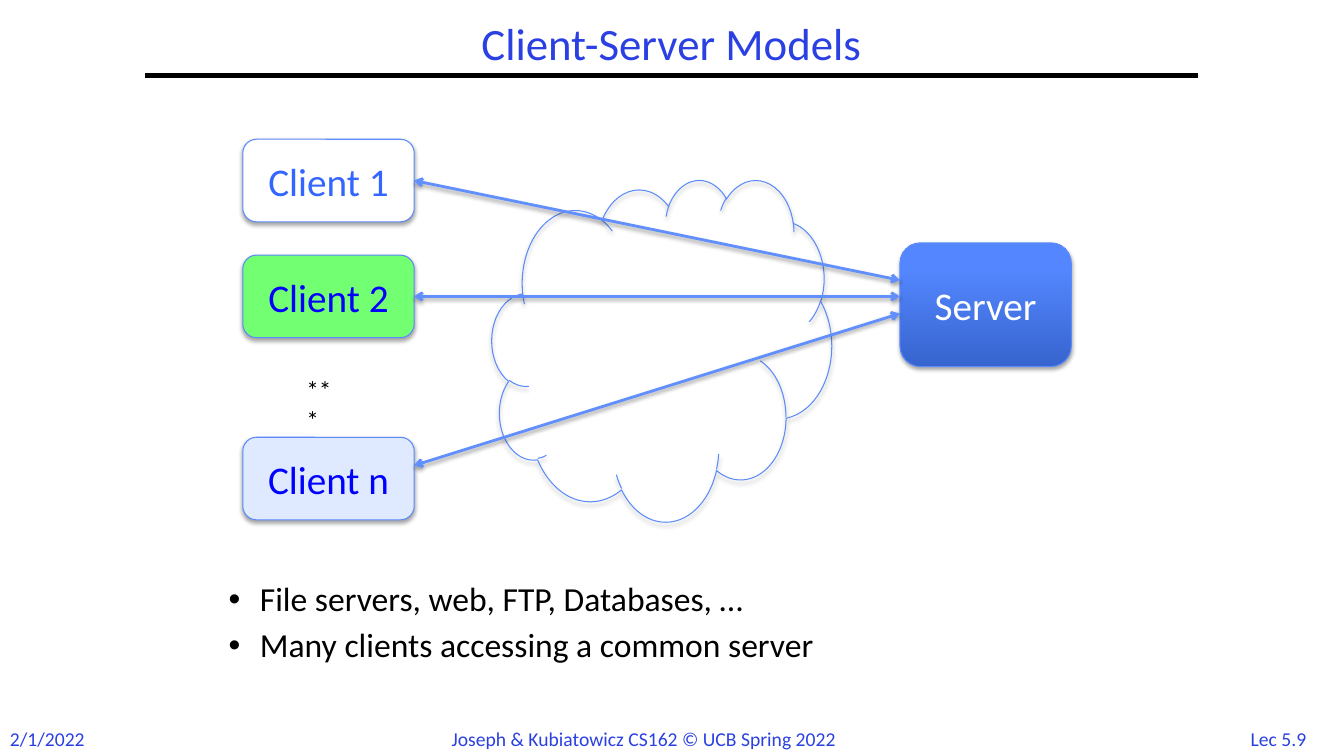
from pptx import Presentation, util as u
from pptx.dml.color import RGBColor
from pptx.enum import shapes, text
from pptx.oxml import parse_xml
from pptx.oxml.ns import nsdecls

Cm, Pt = u.Cm, u.Pt
HUES = {"title": "2A40E2", "edge": "5B8AFB", "link": "618FFD", "ink": "000000",
        "white": "FFFFFF", "sky": "3366FF", "blue": "0000FF", "green": "72FF72",
        "pale": "DFE9FF", "deep": "3764CE", "mid": "5487FF", "top": "5688FF"}
NS = nsdecls("a")


def write(par, words, size, hue, **form):
    """Add a Calibri run to the paragraph and set paragraph attributes."""
    run = par.add_run()
    run.text = words
    for key, val in {"name": "Calibri", "size": Pt(size)}.items():
        setattr(run.font, key, val)
    run.font.color.rgb = RGBColor.from_string(HUES[hue])
    for key, val in form.items():
        setattr(par, key, val)


def style(item, hue, width, shade=0, dist=0):
    """Set the outline and a downward shadow of the given opacity in percent."""
    item.line.color.rgb = RGBColor.from_string(HUES[hue])
    item.line.width = Pt(width)
    glow = (f'<a:outerShdw blurRad="{Pt(3.1)}" dist="{Pt(dist)}" dir="5400000" rotWithShape="0">'
            f'<a:srgbClr val="{HUES["ink"]}"><a:alpha val="{shade * 1000}"/></a:srgbClr>'
            '</a:outerShdw>') if shade else ""
    item._element.spPr.append(parse_xml(f'<a:effectLst {NS}>{glow}</a:effectLst>'))


deck = Presentation()
deck.slide_width, deck.slide_height = Cm(33.87), Cm(19.05)
slide = deck.slides.add_slide(deck.slide_layouts[5])
parts = slide.shapes
center = text.PP_ALIGN.CENTER

# Footer and title rule
for words, left, width, align in [
        ("Lec 5.9", 30.99, 2.46, center),
        ("2/1/2022", 0, 2.44, text.PP_ALIGN.LEFT),
        ("Joseph & Kubiatowicz CS162 © UCB Spring 2022", 11.13, 11.56, text.PP_ALIGN.LEFT)]:
    box = parts.add_textbox(Cm(left), Cm(18.19), Cm(width), Cm(0.86))
    box.text_frame.word_wrap = False
    write(box.text_frame.paragraphs[0], words, 14, "title", alignment=align)
rule = parts.add_connector(shapes.MSO_CONNECTOR.STRAIGHT, Cm(3.66), Cm(1.9), Cm(30.2), Cm(1.9))
style(rule, "ink", 3)

# Title
title = parts.title
for key, val in {"left": 3.66, "top": 0.43, "width": 26.52, "height": 1.47}.items():
    setattr(title, key, Cm(val))
title.text_frame.vertical_anchor = text.MSO_ANCHOR.MIDDLE
write(title.text_frame.paragraphs[0], "Client-Server Models", 32, "title",
      alignment=center, line_spacing=0.9)

# Bullets
body = parts.add_textbox(Cm(5.51), Cm(14.55), Cm(22.86), Cm(2.95)).text_frame
body.word_wrap = True
for num, words in enumerate(["File servers, web, FTP, Databases, …",
                             "Many clients accessing a common server"]):
    par = body.add_paragraph() if num else body.paragraphs[0]
    props = par._p.get_or_add_pPr()
    props.set("marL", str(Cm(0.79)))
    props.set("indent", str(-Cm(0.79)))
    props.append(parse_xml(f'<a:buFont {NS} typeface="Arial"/>'))
    props.append(parse_xml(f'<a:buChar {NS} char="•"/>'))
    write(par, words, 24, "ink", line_spacing=0.9, space_before=Pt(7.2 * num))

# Network cloud
cloud = parts.add_shape(shapes.MSO_SHAPE.CLOUD, Cm(12.4), Cm(4.52), Cm(8.56), Cm(8.61))
cloud.fill.background()
style(cloud, "edge", 0.75, 35, 1.8)

# Server and clients
stops = "".join(f'<a:gs pos="{pos * 1000}"><a:srgbClr val="{HUES[hue]}"/></a:gs>'
                for pos, hue in [(0, "deep"), (80, "mid"), (100, "top")])
for words, left, top, high, fill, hue in [
        ("Server", 22.68, 6.12, 3.12, None, "white"),
        ("Client 1", 6.12, 3.51, 2.08, "white", "sky"),
        ("Client 2", 6.12, 6.43, 2.08, "green", "blue"),
        ("Client n", 6.12, 11.02, 2.08, "pale", "blue")]:
    node = parts.add_shape(shapes.MSO_SHAPE.ROUNDED_RECTANGLE,
                           Cm(left), Cm(top), Cm(4.32), Cm(high))
    if fill:
        node.fill.solid()
        node.fill.fore_color.rgb = RGBColor.from_string(HUES[fill])
    else:
        node._element.spPr.append(parse_xml(
            f'<a:gradFill {NS} rotWithShape="1"><a:gsLst>{stops}</a:gsLst>'
            '<a:lin ang="16200000" scaled="0"/></a:gradFill>'))
    style(node, "edge", 0.75, 35, 1.8)
    node.text_frame.vertical_anchor = text.MSO_ANCHOR.MIDDLE
    write(node.text_frame.paragraphs[0], words, 28, hue, alignment=center)

# More clients
stars = parts.add_textbox(Cm(7.47), Cm(9.3), Cm(1.27), Cm(1.02)).text_frame
stars.word_wrap = True
write(stars.paragraphs[0], "***", 18, "ink")

# Links between clients and server
for start, end in [(4.55, 7.06), (7.47, 7.47), (11.73, 7.9)]:
    link = parts.add_connector(shapes.MSO_CONNECTOR.STRAIGHT,
                               Cm(10.43), Cm(start), Cm(22.68), Cm(end))
    style(link, "link", 2, 38, 1.6)
    for tag in ("headEnd", "tailEnd"):
        link.line._get_or_add_ln().append(parse_xml(f'<a:{tag} {NS} type="arrow"/>'))

deck.save("out.pptx")
